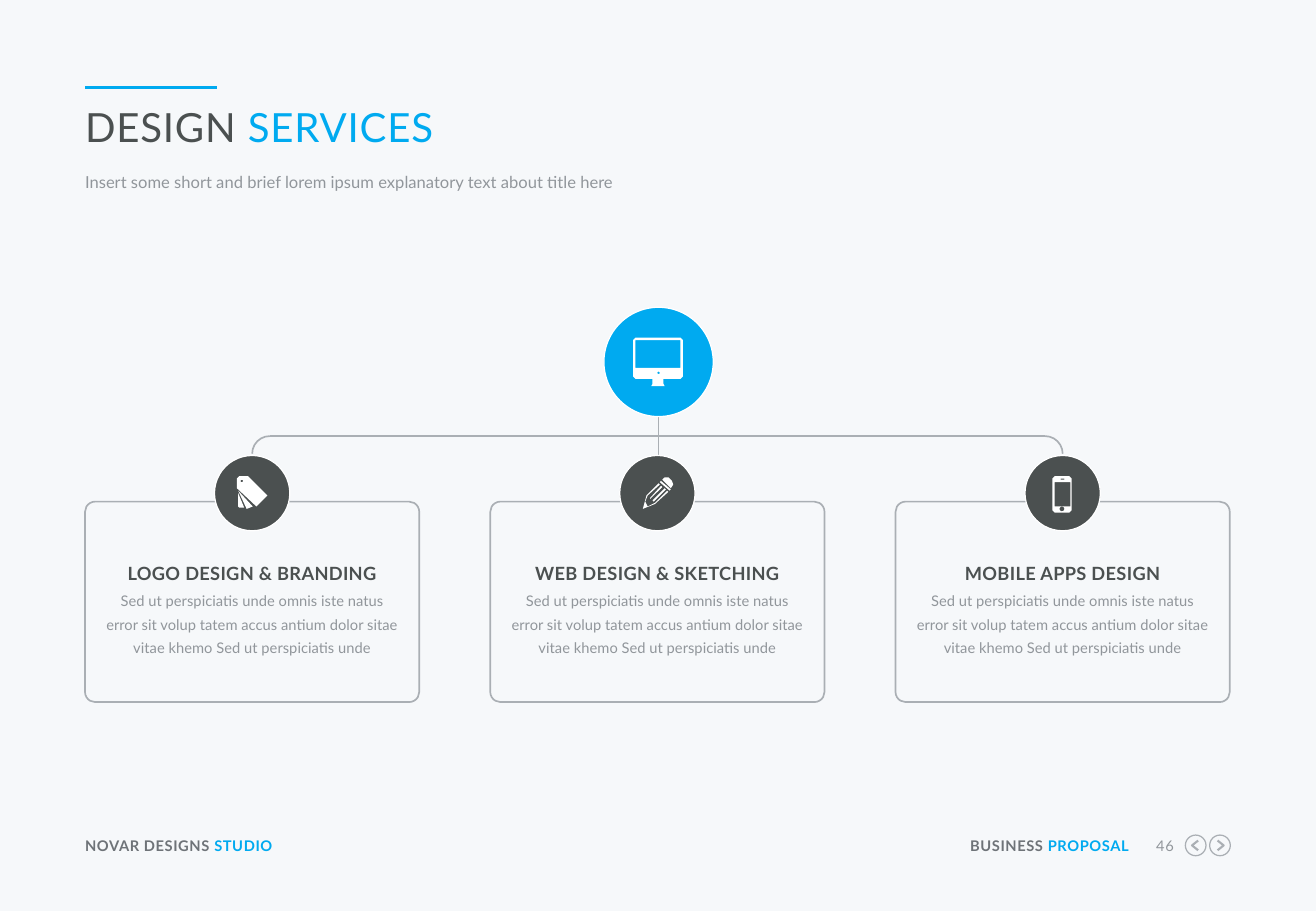
from dataclasses import dataclass
from math import cos, pi, sin
from typing import NamedTuple

from lxml.etree import SubElement
from pptx import Presentation
from pptx.dml.color import RGBColor
from pptx.enum.shapes import MSO_CONNECTOR, MSO_SHAPE
from pptx.enum.text import PP_ALIGN
from pptx.oxml.ns import qn
from pptx.util import Inches, Pt


@dataclass(frozen=True)
class Theme:
    font: str = "Lato"
    background: str = "F6F8FA"
    accent: str = "00AAF0"
    dark: str = "4B5050"
    footer: str = "6E7378"
    muted: str = "91969B"
    rule: str = "AAAFB4"
    white: str = "FFFFFF"
    title_size: float = 23.8
    subtitle_size: float = 9.8
    heading_size: float = 10.8
    small_size: float = 8.7


class Box(NamedTuple):
    left: float
    top: float
    width: float
    height: float


class Segment(NamedTuple):
    start: tuple[float, float]
    end: tuple[float, float]
    color: str
    weight: float = 1


class Piece(NamedTuple):
    text: str
    color: str


@dataclass(frozen=True)
class Label:
    box: Box
    pieces: list[Piece]
    size: float
    bold: bool = False
    tracking: int = 0
    paragraph_format: tuple = ()


Contour = list[tuple[float, float]]


@dataclass(frozen=True)
class Card:
    heading: str
    icon: list[Contour]


def dot(x: float, y: float, radius: float) -> Contour:
    angles = [2 * pi * step / 16 for step in range(16)]
    return [(x + radius * cos(angle), y + radius * sin(angle)) for angle in angles]


def rectangle(left: float, top: float, right: float, bottom: float, cut: float = 0) -> Contour:
    if not cut:
        return [(left, top), (right, top), (right, bottom), (left, bottom)]
    return [(left + cut, top), (right - cut, top), (right, top + cut), (right, bottom - cut),
            (right - cut, bottom), (left + cut, bottom), (left, bottom - cut), (left, top + cut)]


THEME = Theme()
MARGIN = 0.7
CENTER = 5.42
CARD_TOP, CARD_WIDTH, CARD_HEIGHT = 4.13, 2.75, 1.65
CARD_PITCH = (10.12 - MARGIN - CARD_WIDTH) / 2
BADGE, HUB = 0.62, 0.9
TREE_TOP, BEND = 3.59, 0.29
BODY = ("Sed ut perspiciatis unde omnis iste natus error sit volup tatem accus antium "
        "dolor sitae vitae khemo Sed ut perspiciatis unde")

MONITOR = [
    [(5.21, 2.8), (5.23, 2.78), (5.6, 2.78), (5.62, 2.8), (5.62, 3.1), (5.6, 3.12), (5.46, 3.12),
     (5.46, 3.16), (5.47, 3.18), (5.36, 3.18), (5.37, 3.16), (5.37, 3.12), (5.23, 3.12), (5.21, 3.1)],
    rectangle(5.23, 2.8, 5.6, 3.03),
    dot(5.42, 3.07, 0.01),
]
SWATCHES = [
    [(1.95, 3.94), (1.97, 3.92), (2.04, 3.92), (2.2, 4.08), (2.11, 4.17), (1.95, 4.02)],
    [(1.96, 4.04), (2.08, 4.17), (2.03, 4.19)],
    [(1.96, 4.06), (2.01, 4.18), (1.97, 4.18), (1.96, 4.17)],
    dot(1.99, 3.96, 0.01),
]
PENCIL = [
    [(5.29, 4.19), (5.32, 4.08), (5.42, 3.98), (5.43, 3.99), (5.33, 4.08), (5.31, 4.13), (5.33, 4.17),
     (5.39, 4.14), (5.49, 4.04), (5.5, 4.05), (5.39, 4.15)],
    [(5.35, 4.1), (5.44, 4), (5.45, 4.01), (5.35, 4.11)],
    [(5.37, 4.12), (5.47, 4.02), (5.48, 4.03), (5.38, 4.13)],
    [(5.43, 3.97), (5.44, 3.96), (5.52, 4.03), (5.51, 4.04)],
    [(5.45, 3.95), (5.47, 3.93), (5.5, 3.93), (5.53, 3.96), (5.54, 3.99), (5.52, 4.02)],
]
PHONE = [
    rectangle(8.66, 3.92, 8.82, 4.22, 0.02),
    rectangle(8.68, 3.97, 8.81, 4.17),
    rectangle(8.73, 3.94, 8.76, 3.95),
    dot(8.74, 4.19, 0.02),
]
CARDS = [
    Card("LOGO DESIGN & BRANDING", SWATCHES),
    Card("WEB DESIGN & SKETCHING", PENCIL),
    Card("MOBILE APPS DESIGN", PHONE),
]


def paint(shape, fill: str | None, line: str | None, weight: float = 1) -> None:
    shape.shadow.inherit = False
    for target, color in ((shape.fill, fill), (shape.line.fill, line)):
        if color:
            target.solid()
            target.fore_color.rgb = RGBColor.from_string(color)
        else:
            target.background()
    if line:
        shape.line.width = Pt(weight)


def draw_shape(slide, kind: MSO_SHAPE, box: Box, fill: str | None, line: str | None,
               weight: float = 1, adjustments: tuple = ()):
    shape = slide.shapes.add_shape(kind, *map(Inches, box))
    for index, value in enumerate(adjustments):
        shape.adjustments[index] = value
    paint(shape, fill, line, weight)


def draw_circle(slide, x: float, y: float, size: float, fill: str | None, line: str) -> None:
    box = Box(x - size / 2, y - size / 2, size, size)
    draw_shape(slide, MSO_SHAPE.OVAL, box, fill, line, 0.75)


def draw_segment(slide, segment: Segment) -> None:
    ends = map(Inches, (*segment.start, *segment.end))
    connector = slide.shapes.add_connector(MSO_CONNECTOR.STRAIGHT, *ends)
    connector.line.color.rgb = RGBColor.from_string(segment.color)
    connector.line.width = Pt(segment.weight)
    SubElement(connector._element.spPr, qn("a:effectLst"))


def draw_outline(slide, contours: list[Contour], fill: str | None, line: str | None,
                 weight: float = 1, close: bool = True) -> None:
    scaled = [[(x * 1000, y * 1000) for x, y in contour] for contour in contours]
    builder = slide.shapes.build_freeform(*scaled[0][0], scale=Inches(1) / 1000)
    for index, contour in enumerate(scaled):
        if index:
            builder.move_to(*contour[0])
        builder.add_line_segments(contour[1:], close=close)
    paint(builder.convert_to_shape(), fill, line, weight)


def draw_label(slide, label: Label) -> None:
    frame = slide.shapes.add_textbox(*map(Inches, label.box)).text_frame
    frame_format = dict(word_wrap=True, margin_left=0, margin_right=0, margin_top=0, margin_bottom=0)
    for name, value in frame_format.items():
        setattr(frame, name, value)
    paragraph = frame.paragraphs[0]
    for name, value in label.paragraph_format:
        setattr(paragraph, name, value)
    for piece in label.pieces:
        run = paragraph.add_run()
        run.text = piece.text
        font_format = dict(name=THEME.font, size=Pt(label.size), bold=label.bold)
        for name, value in font_format.items():
            setattr(run.font, name, value)
        run.font.color.rgb = RGBColor.from_string(piece.color)
        run._r.get_or_add_rPr().set("spc", str(label.tracking))


def draw_card(slide, card: Card, left: float) -> None:
    draw_shape(slide, MSO_SHAPE.ROUNDED_RECTANGLE, Box(left, CARD_TOP, CARD_WIDTH, CARD_HEIGHT),
               None, THEME.rule, adjustments=(0.05,))
    draw_circle(slide, left + CARD_WIDTH / 2, 4.06, BADGE, THEME.dark, THEME.white)
    draw_outline(slide, card.icon, THEME.white, None)
    centered = ("alignment", PP_ALIGN.CENTER)
    draw_label(slide, Label(Box(left + 0.17, 4.55, 2.41, 0.25), [Piece(card.heading, THEME.dark)],
                            THEME.heading_size, True, 20, (centered, ("line_spacing", Pt(18.4)))))
    draw_label(slide, Label(Box(left + 0.17, 4.82, 2.41, 0.59), [Piece(BODY, THEME.muted)],
                            THEME.small_size, paragraph_format=(centered, ("line_spacing", Pt(14.1)))))


def draw_tree(slide) -> None:
    first = MARGIN + CARD_WIDTH / 2
    last = first + 2 * CARD_PITCH
    for left, angles in ((first, (108, 162)), (last - BEND, (162, 0))):
        draw_shape(slide, MSO_SHAPE.ARC, Box(left, TREE_TOP, BEND, BEND), None, THEME.rule,
                   adjustments=angles)
    draw_segment(slide, Segment((first + BEND / 2, TREE_TOP), (last - BEND / 2, TREE_TOP), THEME.rule))
    draw_segment(slide, Segment((CENTER, 3.43), (CENTER, 3.75), THEME.rule))


def draw_frame(slide) -> None:
    right = (("alignment", PP_ALIGN.RIGHT),)
    draw_segment(slide, Segment((MARGIN, 0.72), (1.79, 0.72), THEME.accent, 2.25))
    labels = [
        Label(Box(MARGIN, 0.84, 9.42, 0.41), [Piece("DESIGN", THEME.dark), Piece(" SERVICES", THEME.accent)],
              THEME.title_size, tracking=50),
        Label(Box(MARGIN, 1.4, 9.42, 0.21),
              [Piece("Insert some short and brief lorem ipsum explanatory text about title here", THEME.muted)],
              THEME.subtitle_size, paragraph_format=(("line_spacing", Pt(13)),)),
        Label(Box(MARGIN, 6.89, 2.11, 0.15),
              [Piece("NOVAR DESIGNS ", THEME.footer), Piece("STUDIO", THEME.accent)],
              THEME.small_size, True, 30),
        Label(Box(7.92, 6.89, 1.37, 0.15),
              [Piece("BUSINESS ", THEME.footer), Piece("PROPOSAL", THEME.accent)],
              THEME.small_size, True, 30, right),
        Label(Box(9.41, 6.89, 0.25, 0.15), [Piece("46", THEME.muted)], THEME.small_size, False, 30, right),
    ]
    for label in labels:
        draw_label(slide, label)
    for x, direction in ((9.84, -1), (10.04, 1)):
        draw_circle(slide, x, 6.96, 0.17, None, THEME.rule)
        tail, tip = x - 0.02 * direction, x + 0.03 * direction
        draw_outline(slide, [[(tail, 6.92), (tip, 6.96), (tail, 7)]], None, THEME.rule, 1.25, False)


def main() -> None:
    presentation = Presentation()
    presentation.slide_width, presentation.slide_height = Inches(10.83), Inches(7.5)
    slide = presentation.slides.add_slide(presentation.slide_layouts[6])
    slide.background.fill.solid()
    slide.background.fill.fore_color.rgb = RGBColor.from_string(THEME.background)
    draw_frame(slide)
    draw_tree(slide)
    for index, card in enumerate(CARDS):
        draw_card(slide, card, MARGIN + index * CARD_PITCH)
    draw_circle(slide, CENTER, 2.98, HUB, THEME.accent, THEME.white)
    draw_outline(slide, MONITOR, THEME.white, None)
    presentation.save("out.pptx")


if __name__ == "__main__":
    main()
